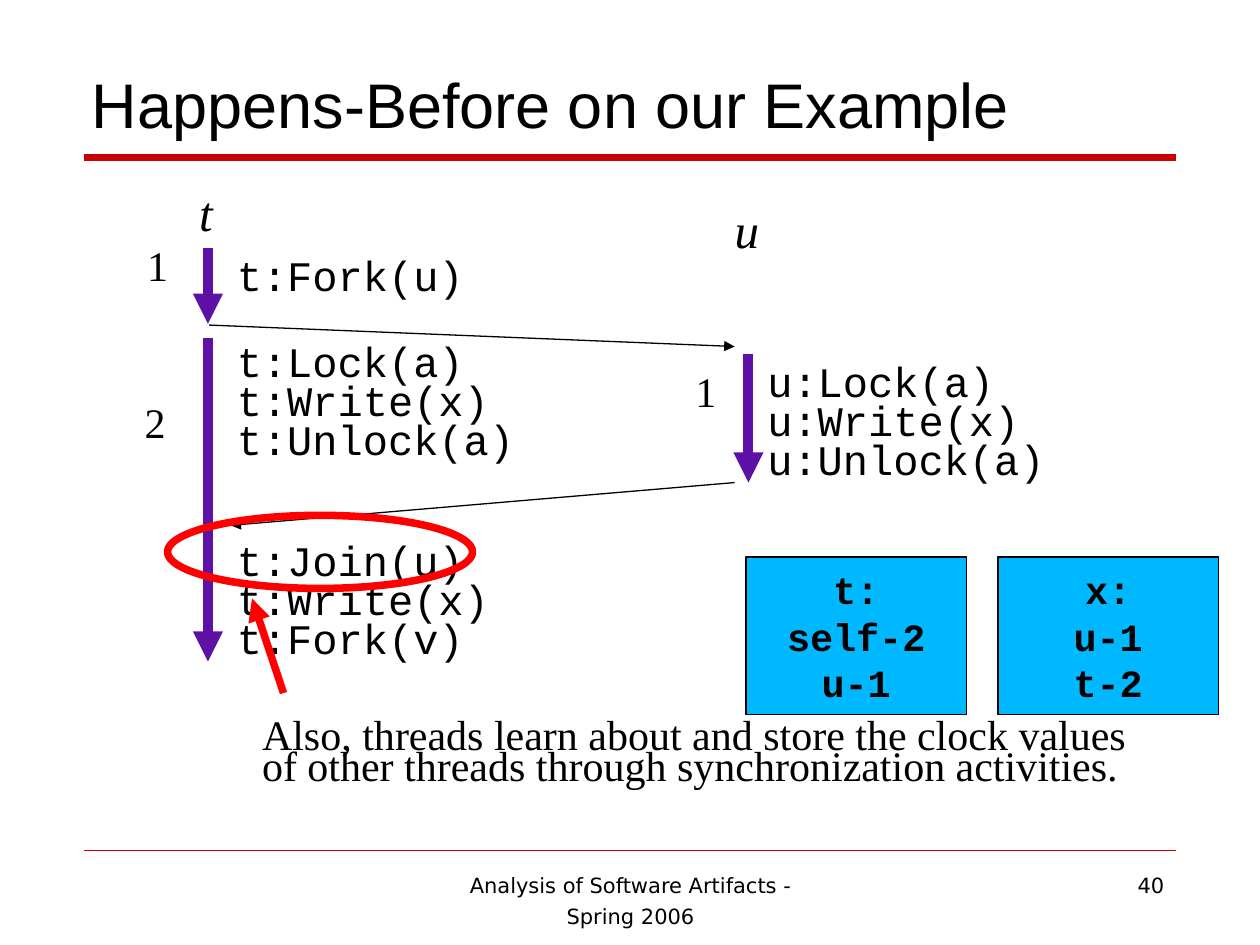
from collections import namedtuple

from lxml import etree
from pptx import Presentation
from pptx.dml.color import RGBColor
from pptx.enum.shapes import MSO_CONNECTOR, MSO_SHAPE
from pptx.enum.text import MSO_ANCHOR, MSO_AUTO_SIZE, PP_ALIGN
from pptx.oxml.ns import qn
from pptx.util import Emu, Pt

LEFT, CENTER, RIGHT = PP_ALIGN.LEFT, PP_ALIGN.CENTER, PP_ALIGN.RIGHT
TOP, MIDDLE, BOTTOM = MSO_ANCHOR.TOP, MSO_ANCHOR.MIDDLE, MSO_ANCHOR.BOTTOM
STRAIGHT = MSO_CONNECTOR.STRAIGHT
RECTANGLE, OVAL = MSO_SHAPE.RECTANGLE, MSO_SHAPE.OVAL
NO_AUTO_SIZE = MSO_AUTO_SIZE.NONE

EMU_PER_PX = 9144  # 100 px to the inch
COLORS = {
    "text": "000000",
    "rule": "CC0000",
    "thread": "5E11A6",
    "highlight": "FF0000",
    "state": "00B8FF",
}
SANS, SERIF, MONO, FOOTER_FONT = "Arial", "Times New Roman", "Courier New", "DejaVu Sans"
TITLE_ONLY = 5
PADDING = (10, 5)
CODE_CHARACTER_WIDTH, CODE_LINE_HEIGHT = 20, 31

Box = namedtuple("Box", "left top width height")


def px(length):
    return Emu(length * EMU_PER_PX)


def color(name):
    return RGBColor.from_string(COLORS[name])


def inside(box, left, top, width, height):
    """Turn offsets from a region's corner into a box on the slide."""
    return Box(box.left + left, box.top + top, width, height)


def write(shape, lines, size, font, spacing, align=LEFT, anchor=TOP,
          padding=(0, 0), wrap=True, bold=False, italic=False):
    """Fill a shape with one paragraph for each line."""
    frame = shape.text_frame
    frame.auto_size = NO_AUTO_SIZE
    frame.word_wrap = wrap
    frame.vertical_anchor = anchor
    frame.margin_left = frame.margin_right = px(padding[0])
    frame.margin_top = frame.margin_bottom = px(padding[1])
    for index, line in enumerate(lines):
        paragraph = frame.add_paragraph() if index else frame.paragraphs[0]
        paragraph.alignment = align
        paragraph.line_spacing = spacing
        run = paragraph.add_run()
        run.text = line
        run.font.size = Pt(size)
        run.font.name = font
        run.font.bold = bold
        run.font.italic = italic
        run.font.color.rgb = color("text")


def add_text(slide, box, lines, size, font, spacing, **options):
    text_box = slide.shapes.add_textbox(*map(px, box))
    write(text_box, lines, size, font, spacing, **options)


def add_line(slide, start, end, color_name, weight, arrow=False):
    connector = slide.shapes.add_connector(STRAIGHT, *map(px, start + end))
    connector.line.color.rgb = color(color_name)
    connector.line.width = Pt(weight)
    if arrow:
        outline = connector.line._get_or_add_ln()
        etree.SubElement(outline, qn("a:tailEnd"), type="triangle")
    etree.SubElement(connector._element.spPr, qn("a:effectLst"))


def add_outlined_shape(slide, kind, box, line_color, weight, fill=None):
    shape = slide.shapes.add_shape(kind, *map(px, box))
    shape.shadow.inherit = False
    if fill:
        shape.fill.solid()
        shape.fill.fore_color.rgb = color(fill)
    else:
        shape.fill.background()
    shape.line.color.rgb = color(line_color)
    shape.line.width = Pt(weight)
    return shape


def add_header(slide, box, text):
    title = slide.shapes.title
    title.left, title.top, title.width, title.height = map(px, box)
    write(title, [text], 36, SANS, Pt(36.1), anchor=BOTTOM, padding=PADDING)
    rule_left, rule_top = box.left + 4, box.top + 93
    add_line(slide, (rule_left, rule_top), (rule_left + 866, rule_top), "rule", 4)


def add_footer(slide, box, text, number):
    right = box.left + box.width
    add_line(slide, (box.left, box.top), (right, box.top), "rule", 0.25)
    add_text(slide, inside(box, 275, 8, 317, 60), [text], 12, FOOTER_FONT, 1.24,
             align=CENTER, padding=PADDING)
    add_text(slide, inside(box, 650, 8, 217, 38), [number], 12, FOOTER_FONT, 1.24,
             align=RIGHT, padding=PADDING)


def add_thread(slide, box, name, name_left, axis, spans, clocks, code_left, code):
    """Draw one thread's name, timeline, clock values and code blocks."""
    axis_left = box.left + axis
    for start, end in spans:
        add_line(slide, (axis_left, box.top + start), (axis_left, box.top + end),
                 "thread", 5.75, arrow=True)
    add_text(slide, inside(box, name_left, 0, 20, 58), [name], 28, SERIF, 1.24,
             wrap=False, italic=True)
    for left, top, value in clocks:
        add_text(slide, inside(box, left, top, 36, 35), [value], 24, SERIF, Pt(18),
                 padding=PADDING, wrap=False)
    for top, lines in code:
        width = CODE_CHARACTER_WIDTH * max(map(len, lines))
        height = CODE_LINE_HEIGHT * len(lines)
        add_text(slide, inside(box, code_left, top, width, height), lines, 24, MONO,
                 0.77, wrap=False)


def add_state(slide, box, lines):
    shape = add_outlined_shape(slide, RECTANGLE, box, "text", 0.75, fill="state")
    write(shape, lines, 22, MONO, 1.01, align=CENTER, anchor=MIDDLE,
          padding=PADDING, bold=True)


def add_join_note(slide, box, text):
    """Circle the join and point at it from the explanation below."""
    add_outlined_shape(slide, OVAL, inside(box, 0, 0, 242, 58), "highlight", 4.31)
    add_line(slide, (box.left + 92, box.top + 141), (box.left + 67, box.top + 66),
             "highlight", 4.31, arrow=True)
    add_text(slide, inside(box, 75, 168, 717, 50), [text], 24, SERIF, Pt(18))


def main():
    presentation = Presentation()
    presentation.slide_width, presentation.slide_height = px(1000), px(750)
    slide = presentation.slides.add_slide(presentation.slide_layouts[TITLE_ONLY])

    add_footer(slide, Box(67, 675, 866, 68),
               "Analysis of Software Artifacts - Spring 2006", "40")
    add_header(slide, Box(63, 32, 829, 85), "Happens-Before on our Example")

    add_thread(
        slide, Box(105, 134, 303, 391), "t", name_left=53, axis=60,
        spans=[(63, 123), (134, 391)],
        clocks=[(2, 66, "1"), (0, 191, "2")],
        code_left=83,
        code=[
            (73, ["t:Fork(u)"]),
            (141, ["t:Lock(a)", "t:Write(x)", "t:Unlock(a)"]),
            (299, ["t:Join(u)", "t:Write(x)", "t:Fork(v)"]),
        ],
    )
    add_thread(
        slide, Box(542, 147, 287, 236), "u", name_left=41, axis=52,
        spans=[(134, 236)],
        clocks=[(0, 153, "1")],
        code_left=67,
        code=[(144, ["u:Lock(a)", "u:Write(x)", "u:Unlock(a)"])],
    )
    for start, end in [((166, 258), (583, 275)), ((583, 383), (183, 417))]:
        add_line(slide, start, end, "text", 0.75, arrow=True)

    add_join_note(slide, Box(133, 409, 792, 218),
                  "Also, threads learn about and store the clock values of other "
                  "threads through synchronization activities.")
    states = [["t:", "self-2", "u-1"], ["x:", "u-1", "t-2"]]
    for index, lines in enumerate(states):
        add_state(slide, Box(592 + 200 * index, 442, 175, 125), lines)

    presentation.save("out.pptx")


if __name__ == "__main__":
    main()
